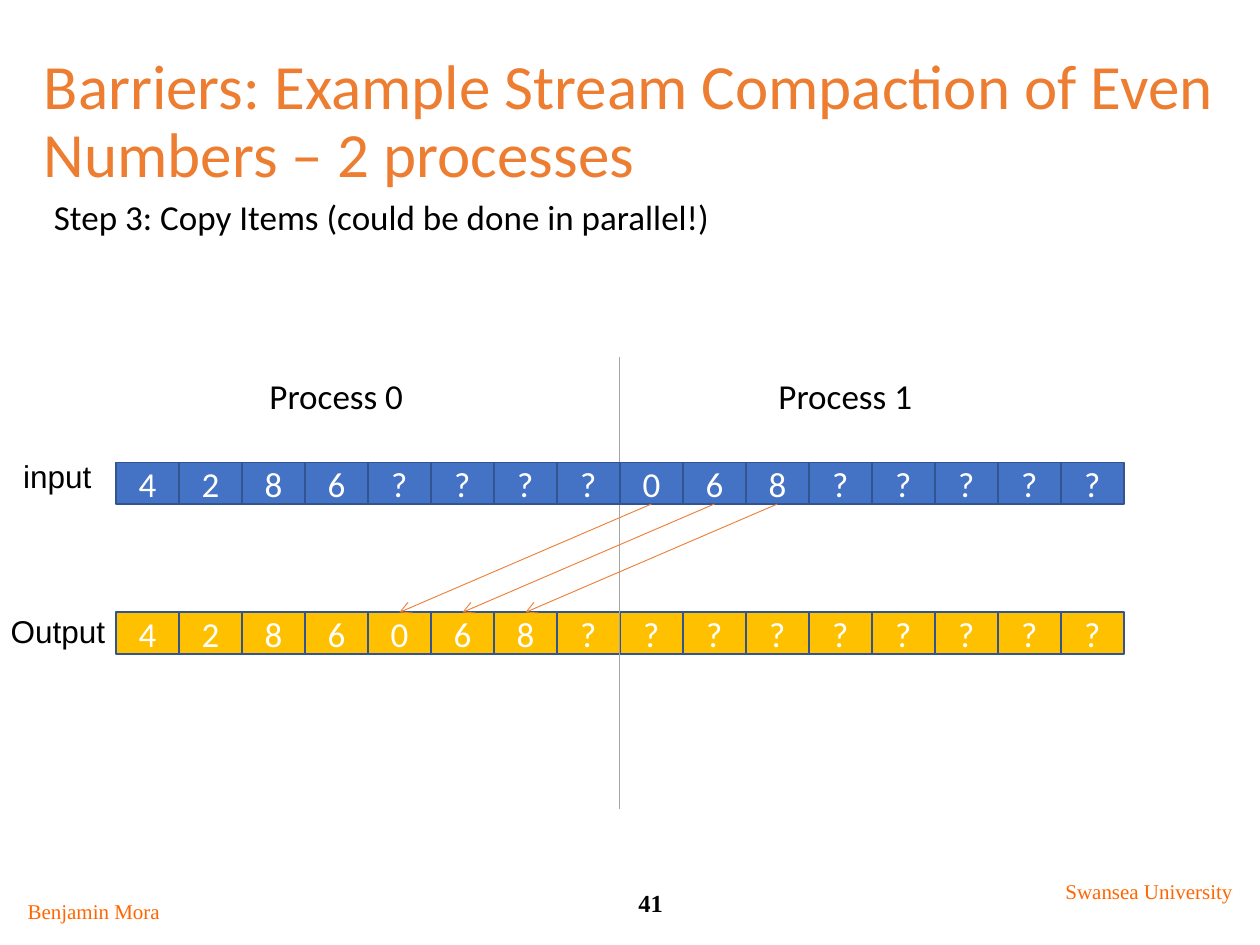
from lxml.etree import SubElement
from pptx import Presentation
from pptx.dml.color import RGBColor
from pptx.enum.shapes import MSO_CONNECTOR, MSO_SHAPE
from pptx.enum.text import MSO_ANCHOR, PP_ALIGN
from pptx.oxml.ns import qn
from pptx.util import Inches, Pt

ORANGE = RGBColor(0xED, 0x7D, 0x31)
FLAME = RGBColor(0xFF, 0x66, 0x00)
BLUE = RGBColor(0x44, 0x72, 0xC4)
GOLD = RGBColor(0xFF, 0xC0, 0x00)
NAVY = RGBColor(0x32, 0x54, 0x91)
GRAY = RGBColor(0xA5, 0xA5, 0xA5)
WHITE = RGBColor(0xFF, 0xFF, 0xFF)
BLACK = RGBColor(0x00, 0x00, 0x00)


def write(shape, text, size, face, color, align=PP_ALIGN.LEFT, bold=False):
    frame = shape.text_frame
    frame.word_wrap = True
    para = frame.paragraphs[0]
    para.alignment = align
    run = para.add_run()
    run.text = text
    font = run.font
    font.size, font.name, font.bold = Pt(size), face, bold
    font.color.rgb = color
    return frame


def add_text(slide, box, *args, **style):
    area = slide.shapes.add_textbox(*map(Inches, box))
    return write(area, *args, **style)


def add_line(slide, start, end, color):
    line = slide.shapes.add_connector(
        MSO_CONNECTOR.STRAIGHT, *map(Inches, start + end))
    line.line.color.rgb = color
    line.line.width = Pt(0.5)
    SubElement(line._element.spPr, qn("a:effectLst"))
    return line


def add_title(slide, box):
    frame = add_text(
        slide, box,
        "Barriers: Example Stream Compaction of Even Numbers – 2 processes",
        36, "Calibri", ORANGE)
    frame.vertical_anchor = MSO_ANCHOR.MIDDLE
    frame.paragraphs[0].line_spacing = 0.9


def add_foot(slide, box):
    left, top, width, height = box
    face = "Times New Roman"
    center = PP_ALIGN.CENTER
    add_text(slide, (left, top + 0.16, 1.33, 0.3), "Benjamin Mora",
             12, face, FLAME, align=center)
    add_text(slide, (left + 4.42, top + 0.08, 1.33, 0.33), "41",
             14, face, BLACK, align=center, bold=True)
    add_text(slide, (left + width - 1.58, top, 1.58, 0.3),
             "Swansea University", 12, face, FLAME, align=center)


def add_row(slide, box, values, fill):
    left, top, width, height = box
    step = width / len(values)
    cells = []
    for i, value in enumerate(values):
        cell = slide.shapes.add_shape(
            MSO_SHAPE.RECTANGLE,
            *map(Inches, (left + i * step, top, step, height)))
        cell.shadow.inherit = False
        cell.fill.solid()
        cell.fill.fore_color.rgb = fill
        cell.line.color.rgb = NAVY
        cell.line.width = Pt(1)
        frame = write(cell, value, 20, "Calibri", WHITE,
                      align=PP_ALIGN.CENTER)
        frame.vertical_anchor = MSO_ANCHOR.MIDDLE
        cells.append(cell)
    return cells


def add_arrow(slide, source, target):
    arrow = add_line(slide, (0, 0), (1, 1), ORANGE)
    arrow.begin_connect(source, 2)
    arrow.end_connect(target, 0)
    SubElement(arrow.line._get_or_add_ln(), qn("a:tailEnd"), type="arrow")


def add_chart(slide, box):
    left, top, width, height = box
    mid = left + width / 2
    upper, lower = top + 0.84, top + 2.03
    high = 0.33
    for x, name in ((left + 1.12, "Process 0"), (mid + 1.16, "Process 1")):
        add_text(slide, (x, top + 0.09, 2.75, 0.44), name,
                 20, "Calibri", BLACK)
    output = add_row(slide, (left, lower, width, high),
                     "4286068?????????", GOLD)
    add_line(slide, (mid, top), (mid, top + height), GRAY)
    source = add_row(slide, (left, upper, width, high),
                     "4286????068?????", BLUE)
    for i in range(3):
        add_arrow(slide, source[8 + i], output[4 + i])
    for name, x, y, wide in (("input", left - 0.84, upper - 0.09, 0.75),
                             ("Output", left - 1, lower - 0.05, 1.08)):
        add_text(slide, (x, y, wide, 0.4), name, 18, "Arial", BLACK,
                 align=PP_ALIGN.CENTER)


def main():
    deck = Presentation()
    deck.slide_width, deck.slide_height = Inches(10), Inches(7.5)
    slide = deck.slides.add_slide(deck.slide_layouts[6])
    add_title(slide, (0.25, 0.44, 9.5, 1.08))
    add_text(slide, (0.33, 1.5, 8.83, 0.44),
             "Step 3: Copy Items (could be done in parallel!)",
             20, "Calibri", BLACK)
    add_chart(slide, (0.92, 2.83, 8, 3.59))
    add_foot(slide, (0.08, 6.92, 9.83, 0.46))
    deck.save("out.pptx")


if __name__ == "__main__":
    main()
